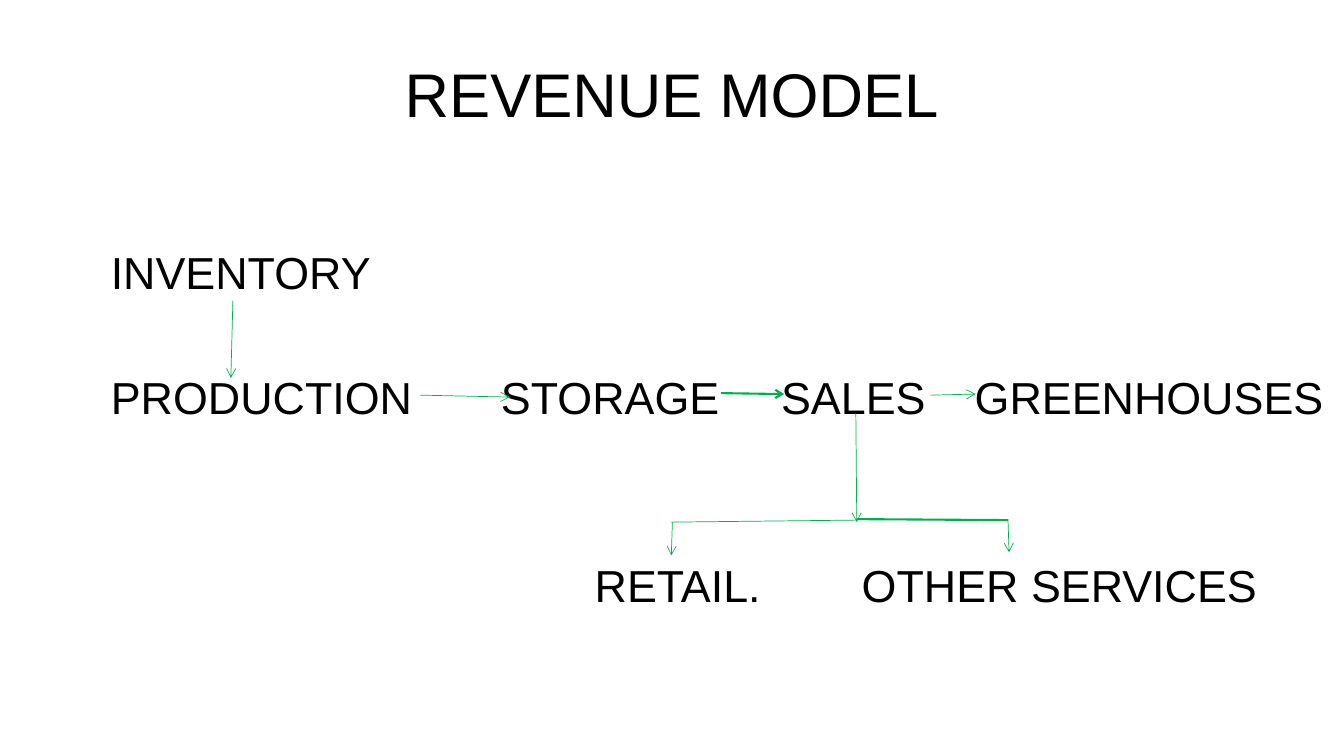
from dataclasses import dataclass

from lxml.etree import SubElement
from pptx import Presentation
from pptx.dml.color import RGBColor
from pptx.enum.shapes import MSO_CONNECTOR
from pptx.enum.text import MSO_ANCHOR, PP_ALIGN
from pptx.oxml.ns import qn
from pptx.util import Inches, Pt

WIDTH, HEIGHT = Inches(13.33), Inches(7.5)
FONT, INK, GREEN = "Arial", "000000", "00B050"
FIRST_ROW, ROW_PITCH = 31.73, 8.29


@dataclass(frozen=True)
class Label:
    text: str
    left: float
    row: int
    width: float


@dataclass(frozen=True)
class Link:
    x1: float
    y1: float
    x2: float
    y2: float
    weight: float = 0.5
    arrow: bool = True


LABELS = [
    Label("INVENTORY", 8.25, 0, 20),
    Label("PRODUCTION", 8.25, 2, 23.5),
    Label("STORAGE", 37.28, 2, 17),
    Label("SALES", 58.12, 2, 12),
    Label("GREENHOUSES", 72.52, 2, 26.9),
    Label("RETAIL.", 44.25, 5, 14),
    Label("OTHER SERVICES", 64.12, 5, 31),
]

LINKS = [
    Link(63.68, 54.67, 63.75, 69.07),
    Link(63.68, 68.8, 49.88, 69.07, arrow=False),
    Link(63.75, 68.67, 75, 68.8, weight=1.5, arrow=False),
    Link(75, 68.67, 75.08, 73.07),
    Link(50.03, 69.07, 49.95, 73.47),
    Link(69.23, 52.27, 72.6, 52.13),
    Link(31.28, 52.27, 37.95, 52.53),
    Link(53.63, 52, 58.35, 52.13, weight=1.5),
    Link(17.33, 39.73, 17.18, 50),
]


def across(share: float) -> int:
    return round(WIDTH * share / 100)


def down(share: float) -> int:
    return round(HEIGHT * share / 100)


def color(value: str) -> RGBColor:
    return RGBColor.from_string(value)


def write(sp, text: str, size: float, align: PP_ALIGN) -> None:
    tf = sp.text_frame
    tf.text = text
    tf.word_wrap = True
    tf.vertical_anchor = MSO_ANCHOR.MIDDLE
    tf.margin_left = tf.margin_right = tf.margin_top = tf.margin_bottom = 0
    p = tf.paragraphs[0]
    p.alignment = align
    font = p.runs[0].font
    font.name, font.size = FONT, Pt(size)
    font.color.rgb = color(INK)


def add_title(s, text: str) -> None:
    sp = s.shapes.title
    sp.left, sp.top = across(5), down(4)
    sp.width, sp.height = across(90), down(16.67)
    write(sp, text, 44, PP_ALIGN.CENTER)


def add_label(s, label: Label) -> None:
    top = FIRST_ROW + label.row * ROW_PITCH
    sp = s.shapes.add_textbox(
        across(label.left), down(top), across(label.width), down(ROW_PITCH)
    )
    write(sp, label.text, 32, PP_ALIGN.LEFT)


def add_link(s, link: Link) -> None:
    sp = s.shapes.add_connector(
        MSO_CONNECTOR.STRAIGHT,
        across(link.x1), down(link.y1), across(link.x2), down(link.y2),
    )
    sp.line.color.rgb = color(GREEN)
    sp.line.width = Pt(link.weight)
    if link.arrow:
        SubElement(sp.line._get_or_add_ln(), qn("a:tailEnd"), type="arrow")
    SubElement(sp._element.spPr, qn("a:effectLst"))


def main() -> None:
    prs = Presentation()
    prs.slide_width, prs.slide_height = WIDTH, HEIGHT
    s = prs.slides.add_slide(prs.slide_layouts[5])
    add_title(s, "REVENUE MODEL")
    for label in LABELS:
        add_label(s, label)
    for link in LINKS:
        add_link(s, link)
    prs.save("out.pptx")


if __name__ == "__main__":
    main()
